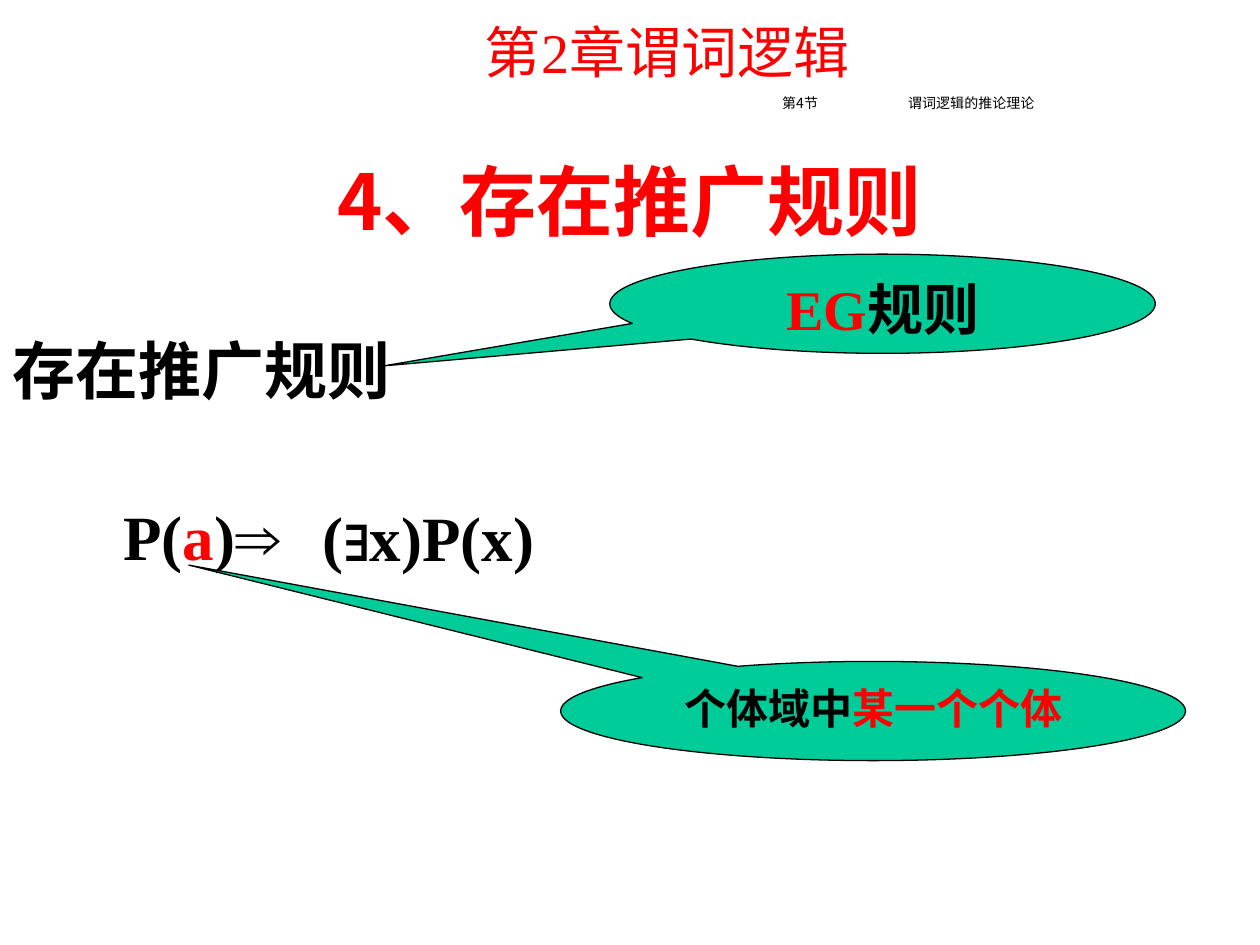
from dataclasses import dataclass

from pptx import Presentation
from pptx import util as u
from pptx.dml.color import RGBColor
from pptx.enum import shapes, text
from pptx.oxml.ns import qn
from lxml import etree

WIDTH, HEIGHT = 10, 7.5
RED, BLACK, GREEN = "FF0000", "000000", "00CC99"
SERIF, SANS, SYMBOL = "Times New Roman", "Noto Sans CJK SC", "Arial"
CENTER = text.PP_ALIGN.CENTER
MIDDLE = text.MSO_ANCHOR.MIDDLE


@dataclass(frozen=True)
class Area:
    """A rectangle given in shares of the slide's width and height."""
    left: float
    top: float
    width: float
    height: float

    def lengths(self) -> list[int]:
        return [u.Inches(self.left * WIDTH), u.Inches(self.top * HEIGHT),
                u.Inches(self.width * WIDTH), u.Inches(self.height * HEIGHT)]


@dataclass(frozen=True)
class Span:
    words: str
    color: str = BLACK
    font: str = SERIF


@dataclass(frozen=True)
class Callout:
    area: Area
    tip: tuple[float, float]
    size: float
    spans: list[Span]


@dataclass(frozen=True)
class Formula:
    area: Area
    spans: list[Span]


CALLOUTS = [
    Callout(Area(0.484, 0.269, 0.433, 0.105), (-0.914, 0.626), 32,
            [Span("EG", RED), Span("规则")]),
    Callout(Area(0.445, 0.7, 0.496, 0.105), (-1.095, -1.471), 24,
            [Span("个体域中"), Span("某一个个体", RED)]),
]
FORMULAS = [
    Formula(Area(0.088, 0.52, 0.149, 0.093),
            [Span("P("), Span("a", RED), Span(")"), Span("⇒", font=SYMBOL)]),
    Formula(Area(0.246, 0.521, 0.2, 0.093),
            [Span("("), Span("∃", font=SYMBOL), Span("x)P(x)")]),
]


def rgb(color: str) -> RGBColor:
    return RGBColor.from_string(color)


def write(box, spans: list[Span], *, size: float, bold: bool = False,
          align=text.PP_ALIGN.LEFT, anchor=text.MSO_ANCHOR.TOP,
          wrap: bool = True, spacing: float = 1, tabs: int = 0) -> None:
    """Fill a box with one paragraph; tabs is the number of one-inch stops."""
    frame = box.text_frame
    frame.word_wrap = wrap
    frame.vertical_anchor = anchor
    para = frame.paragraphs[0]
    if tabs:
        stops = etree.SubElement(para._p.get_or_add_pPr(), qn("a:tabLst"))
        for inch in range(tabs):
            etree.SubElement(stops, qn("a:tab"), pos=str(u.Inches(inch)), algn="l")
    para.alignment = align
    para.line_spacing = spacing
    for span in spans:
        run = para.add_run()
        run.text = span.words
        font = run.font
        font.size, font.bold, font.name = u.Pt(size), bold, span.font
        font.color.rgb = rgb(span.color)
        etree.SubElement(run._r.rPr, qn("a:ea"), typeface=SANS)


def add_text(page, area: Area, spans: list[Span], **style) -> None:
    write(page.shapes.add_textbox(*area.lengths()), spans, **style)


def add_callout(page, callout: Callout) -> None:
    bubble = page.shapes.add_shape(
        shapes.MSO_SHAPE.OVAL_CALLOUT, *callout.area.lengths())
    bubble.adjustments[0], bubble.adjustments[1] = callout.tip
    bubble.shadow.inherit = False
    bubble.fill.solid()
    bubble.fill.fore_color.rgb = rgb(GREEN)
    bubble.line.color.rgb = rgb(BLACK)
    bubble.line.width = u.Pt(0.75)
    write(bubble, callout.spans, size=callout.size, bold=True, align=CENTER)


def main() -> None:
    deck = Presentation()
    deck.slide_width, deck.slide_height = u.Inches(WIDTH), u.Inches(HEIGHT)
    page = deck.slides.add_slide(deck.slide_layouts[6])

    add_text(page, Area(0.317, 0.012, 0.425, 0.085),
             [Span("第2章谓词逻辑", RED)], size=32, align=CENTER)
    add_text(page, Area(0.45, 0.095, 0.542, 0.032),
             [Span("第4节\t谓词逻辑的推论理论", font=SANS)], size=8,
             align=CENTER, anchor=MIDDLE, spacing=0.8, tabs=8)
    add_text(page, Area(0.075, 0.156, 0.85, 0.111),
             [Span("4、存在推广规则", RED, SANS)], size=44, bold=True,
             align=CENTER, anchor=MIDDLE)
    add_text(page, Area(0, 0.344, 0.398, 0.165),
             [Span("存在推广规则", font=SANS)], size=36, bold=True)
    for formula in FORMULAS:
        add_text(page, formula.area, formula.spans, size=36, bold=True, wrap=False)
    for callout in CALLOUTS:
        add_callout(page, callout)

    deck.save("out.pptx")


if __name__ == "__main__":
    main()
